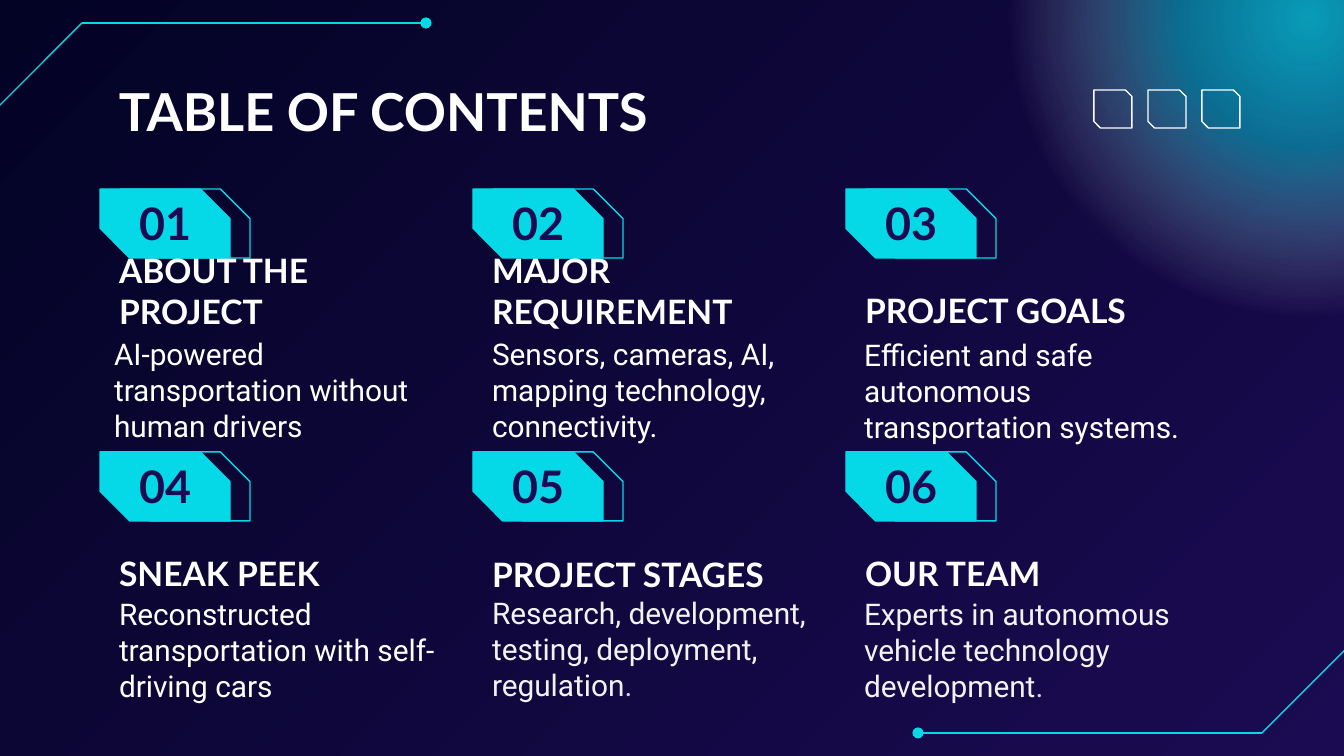
"""Build a table of contents slide with six numbered topics on a dark gradient."""
from pptx import Presentation
from pptx.dml.color import RGBColor
from pptx.enum.shapes import MSO_CONNECTOR, MSO_SHAPE
from pptx.enum.text import MSO_ANCHOR, PP_ALIGN
from pptx.oxml import parse_xml
from pptx.oxml.ns import nsdecls
from pptx.util import Pt

PX = 9144000 / 1344
CYAN = RGBColor(0x05, 0xD8, 0xE7)
WHITE = RGBColor(0xFF, 0xFF, 0xFF)
PALE = RGBColor(0xF2, 0xF2, 0xF2)
GREY = RGBColor(0xD1, 0xD5, 0xDB)
NIGHT = RGBColor(0x03, 0x03, 0x25)
INDIGO = RGBColor(0x1B, 0x0B, 0x52)

TOPICS = [
    ("ABOUT THE PROJECT", "AI-powered transportation without human drivers", 277, 101, 323, WHITE),
    ("MAJOR REQUIREMENT", "Sensors, cameras, AI, mapping technology, connectivity.", 277, 479, 323, WHITE),
    ("PROJECT GOALS", "Efficient and safe autonomous transportation systems.", 276, 851, 324, WHITE),
    ("SNEAK PEEK", "Reconstructed transportation with self-driving cars", 539, 106, 583, WHITE),
    ("PROJECT STAGES", "Research, development, testing, deployment, regulation", 540, 479, 582, PALE),
    ("OUR TEAM", "Experts in autonomous vehicle technology development", 539, 851, 583, PALE),
]


def add_snip(x, y, w, h, snip, line, fill=None):
    s = shapes.add_shape(MSO_SHAPE.SNIP_2_DIAG_RECTANGLE, *[int(v * PX) for v in (x, y, w, h)])
    s.adjustments[0], s.adjustments[1] = 0, snip
    s.shadow.inherit = False
    s.line.color.rgb = line
    s.line.width = Pt(0.75)
    if fill is None:
        s.fill.background()
    else:
        s.fill.solid()
        s.fill.fore_color.rgb = fill


def add_text(text, x, y, w, h, font, size, color, anchor=MSO_ANCHOR.TOP, align=PP_ALIGN.LEFT):
    tf = shapes.add_textbox(*[int(v * PX) for v in (x, y, w, h)]).text_frame
    tf.word_wrap = True
    tf.vertical_anchor = anchor
    tf.margin_left = tf.margin_right = tf.margin_top = tf.margin_bottom = int(13 * PX)
    tf.text = text
    p = tf.paragraphs[0]
    p.alignment = align
    if color == PALE:
        p.add_run().text = "."
    for r, tint in zip(p.runs, (color, GREY)):
        r.font.name = font
        r.font.size = Pt(size)
        r.font.bold = font == "Lato"
        r.font.color.rgb = tint


prs = Presentation()
prs.slide_width, prs.slide_height = int(1344 * PX), int(756 * PX)
slide = prs.slides.add_slide(prs.slide_layouts[6])
shapes = slide.shapes

bg = slide.background.fill
bg.gradient()
bg.gradient_angle = 315
for stop, color, position in zip(bg.gradient_stops, (NIGHT, INDIGO), (0, 1)):
    stop.color.rgb = color
    stop.position = position

glow = shapes.add_shape(MSO_SHAPE.OVAL, *[int(v * PX) for v in (1001, -289, 613, 613)])
glow.shadow.inherit = False
glow.line.fill.background()
stops = "".join(
    f'<a:gs pos="{pos}000"><a:srgbClr val="{color}"><a:alpha val="{alpha}000"/></a:srgbClr></a:gs>'
    for pos, color, alpha in ((0, CYAN, 71), (30, CYAN, 48), (69, WHITE, 0), (100, WHITE, 0))
)
glow.fill.background()
no_fill = glow.element.spPr.find("{*}noFill")
no_fill.addprevious(parse_xml(
    f'<a:gradFill {nsdecls("a")} rotWithShape="1"><a:gsLst>{stops}</a:gsLst><a:path path="circle">'
    '<a:fillToRect l="50000" t="50000" r="50000" b="50000"/></a:path></a:gradFill>'
))
glow.element.spPr.remove(no_fill)

for *ends, dot in (
    (-3, 108, 82, 23, False), (82, 23, 426, 23, True),
    (1347, 648, 1262, 733, False), (1262, 733, 918, 733, True),
):
    s = shapes.add_connector(MSO_CONNECTOR.STRAIGHT, *[int(v * PX) for v in ends])
    s.line.color.rgb = CYAN
    s.line.width = Pt(0.75)
    if dot:
        s.line._get_or_add_ln().append(parse_xml(f'<a:tailEnd {nsdecls("a")} type="oval"/>'))
    s.element.spPr.append(parse_xml(f'<a:effectLst {nsdecls("a")}/>'))

add_text("TABLE OF CONTENTS", 106, 66, 1055, 85, "Lato", 28, WHITE)

for i, (heading, body, heading_y, body_x, body_y, body_color) in enumerate(TOPICS):
    row, col = divmod(i, 3)
    x, y = 100 + 373 * col, 189 + 263 * row
    add_snip(x + 20, y, 130, 69, 0.43, CYAN)
    add_snip(x, y, 130, 69, 0.43, CYAN, CYAN)
    add_text(f"{i + 1:02}", x + 19, y - 7, 92, 82, "Lato", 24, INDIGO, MSO_ANCHOR.MIDDLE, PP_ALIGN.CENTER)
    add_text(heading, x + 6, heading_y, 351, 67, "Lato", 18, WHITE, MSO_ANCHOR.BOTTOM)
    add_text(body, body_x, body_y, 351, 159, "Roboto", 16, body_color)

for i in range(3):
    add_snip(1094 + 54 * i, 90, 38, 38, 0.17, WHITE)

prs.save("out.pptx")
